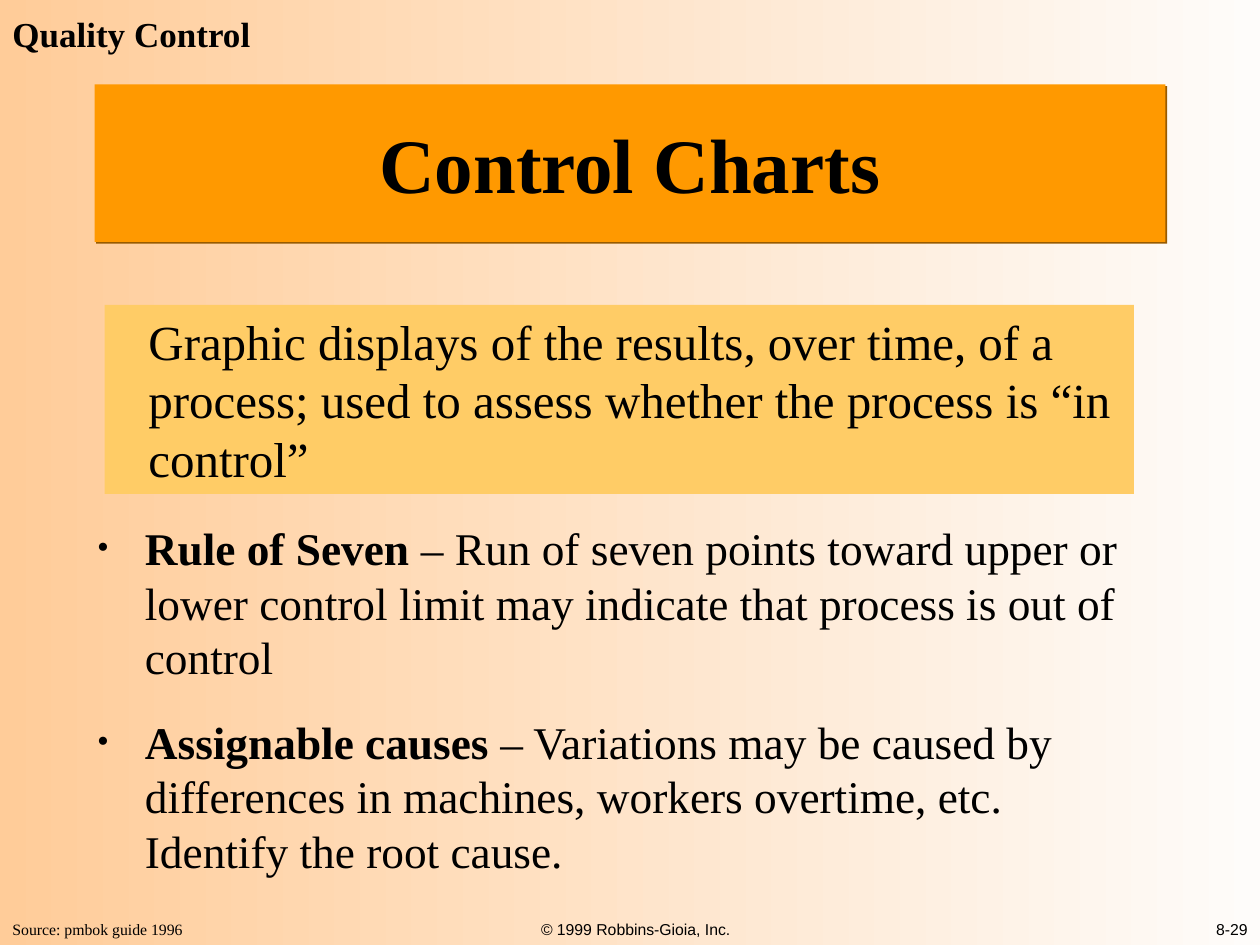
from dataclasses import dataclass

from lxml.etree import SubElement
from pptx import Presentation
from pptx.dml.color import RGBColor
from pptx.enum.shapes import MSO_SHAPE
from pptx.enum.text import MSO_ANCHOR as Anchor, MSO_AUTO_SIZE as AutoSize, PP_ALIGN as Align
from pptx.oxml.ns import qn
from pptx.util import Inches, Pt

SERIF, SANS = "Times New Roman", "Arial"
BLACK = "000000"
PARAGRAPH_GAP = Pt(17.5)


@dataclass
class Label:
    text: str
    box: tuple[float, float, float, float]
    size: float
    font: str = SERIF
    bold: bool = False
    align: Align = Align.LEFT
    anchor: Anchor = Anchor.TOP
    wrap: bool = True


@dataclass
class Bullet:
    term: str
    meaning: str


LABELS = [
    Label("Source: pmbok guide 1996", (0, 7.25, 1.55, 0.25), 9, wrap=False),
    Label("© 1999 Robbins-Gioia, Inc.", (3.42, 7, 3.25, 0.5), 9, SANS,
          align=Align.CENTER, anchor=Anchor.BOTTOM),
    Label("8-29", (6.75, 7, 3.25, 0.5), 9, SANS,
          align=Align.RIGHT, anchor=Anchor.BOTTOM),
    Label("Quality Control", (0, 0.05, 2.09, 0.44), 20, bold=True, wrap=False),
]
TITLE = Label("Control Charts", (0.75, 0.67, 8.5, 1.25), 44, bold=True,
              align=Align.CENTER, anchor=Anchor.MIDDLE)
DEFINITION = Label(
    "Graphic displays of the results, over time, of a process; "
    "used to assess whether the process is “in control”",
    (0.83, 2.42, 8.17, 1.5), 28)
BODY_BOX = (0.67, 4.08, 8.42, 3.08)
BULLETS = [
    Bullet("Rule of Seven", " – Run of seven points toward upper or lower control "
                            "limit may indicate that process is out of control"),
    Bullet("Assignable causes", " – Variations may be caused by differences in machines, "
                                "workers overtime, etc. Identify the root cause."),
]


def color(value: str) -> RGBColor:
    return RGBColor.from_string(value)


def place(shape, box: tuple[float, float, float, float]) -> None:
    for name, length in zip(("left", "top", "width", "height"), box):
        setattr(shape, name, Inches(length))


def format_font(font, size: float, name: str = SERIF, bold: bool = False) -> None:
    for key, value in {"size": Pt(size), "name": name, "bold": bold}.items():
        setattr(font, key, value)
    font.color.rgb = color(BLACK)


def format_frame(frame, anchor: Anchor = Anchor.TOP, wrap: bool = True) -> None:
    values = {"auto_size": AutoSize.NONE, "word_wrap": wrap, "vertical_anchor": anchor}
    for key, value in values.items():
        setattr(frame, key, value)


def write_label(shape, label: Label) -> None:
    """Place the shape and give it the label's text and format."""
    place(shape, label.box)
    frame = shape.text_frame
    format_frame(frame, label.anchor, label.wrap)
    para = frame.paragraphs[0]
    para.alignment = label.align
    span = para.add_run()
    span.text = label.text
    format_font(span.font, label.size, label.font, label.bold)


def set_indent(para, left: float, first: float = 0) -> None:
    properties = para._p.get_or_add_pPr()
    properties.set("marL", str(Inches(left)))
    properties.set("indent", str(Inches(first)))


def add_bullet_mark(para) -> None:
    properties = para._p.get_or_add_pPr()
    bullet_color = SubElement(properties, qn("a:buClr"))
    SubElement(bullet_color, qn("a:srgbClr"), val=BLACK)
    SubElement(properties, qn("a:buSzPct"), val="75000")
    SubElement(properties, qn("a:buFont"), typeface=SERIF)
    SubElement(properties, qn("a:buChar"), char="•")


def add_hard_shadow(shape, value: str) -> None:
    effects = SubElement(shape._element.spPr, qn("a:effectLst"))
    shadow = SubElement(effects, qn("a:outerShdw"), dist=str(Pt(1.4)),
                        dir=str(45 * 60000), algn="ctr", rotWithShape="0")
    SubElement(shadow, qn("a:srgbClr"), val=value)


def paint_background(page) -> None:
    fill = page.background.fill
    fill.gradient()
    fill.gradient_angle = 180
    for stop, (position, value) in zip(fill.gradient_stops, ((0, "FEFCFA"), (1, "FFCC99"))):
        stop.position = position
        stop.color.rgb = color(value)


def fill_title(title) -> None:
    write_label(title, TITLE)
    title.fill.solid()
    title.fill.fore_color.rgb = color("FF9900")
    add_hard_shadow(title, "985B00")


def fill_body(body) -> None:
    place(body, BODY_BOX)
    frame = body.text_frame
    format_frame(frame)
    for index, bullet in enumerate(BULLETS):
        para = frame.add_paragraph() if index else frame.paragraphs[0]
        para.space_before = PARAGRAPH_GAP if index else Pt(0)
        set_indent(para, 0.38, -0.38)
        add_bullet_mark(para)
        for text, bold in ((bullet.term, True), (bullet.meaning, False)):
            span = para.add_run()
            span.text = text
            format_font(span.font, 25.9, bold=bold)


def add_definition(page) -> None:
    panel = page.shapes.add_shape(MSO_SHAPE.RECTANGLE, 0, 0, 0, 0)
    write_label(panel, DEFINITION)
    set_indent(panel.text_frame.paragraphs[0], 0.25)
    panel.shadow.inherit = False
    panel.fill.solid()
    panel.fill.fore_color.rgb = color("FFCC66")
    panel.line.fill.background()


def main() -> None:
    deck = Presentation()
    deck.slide_width, deck.slide_height = Inches(10), Inches(7.5)
    page = deck.slides.add_slide(deck.slide_layouts[1])
    paint_background(page)
    fill_title(page.shapes.title)
    fill_body(page.placeholders[1])
    for label in LABELS:
        write_label(page.shapes.add_textbox(0, 0, 0, 0), label)
    add_definition(page)
    deck.save("out.pptx")


if __name__ == "__main__":
    main()
